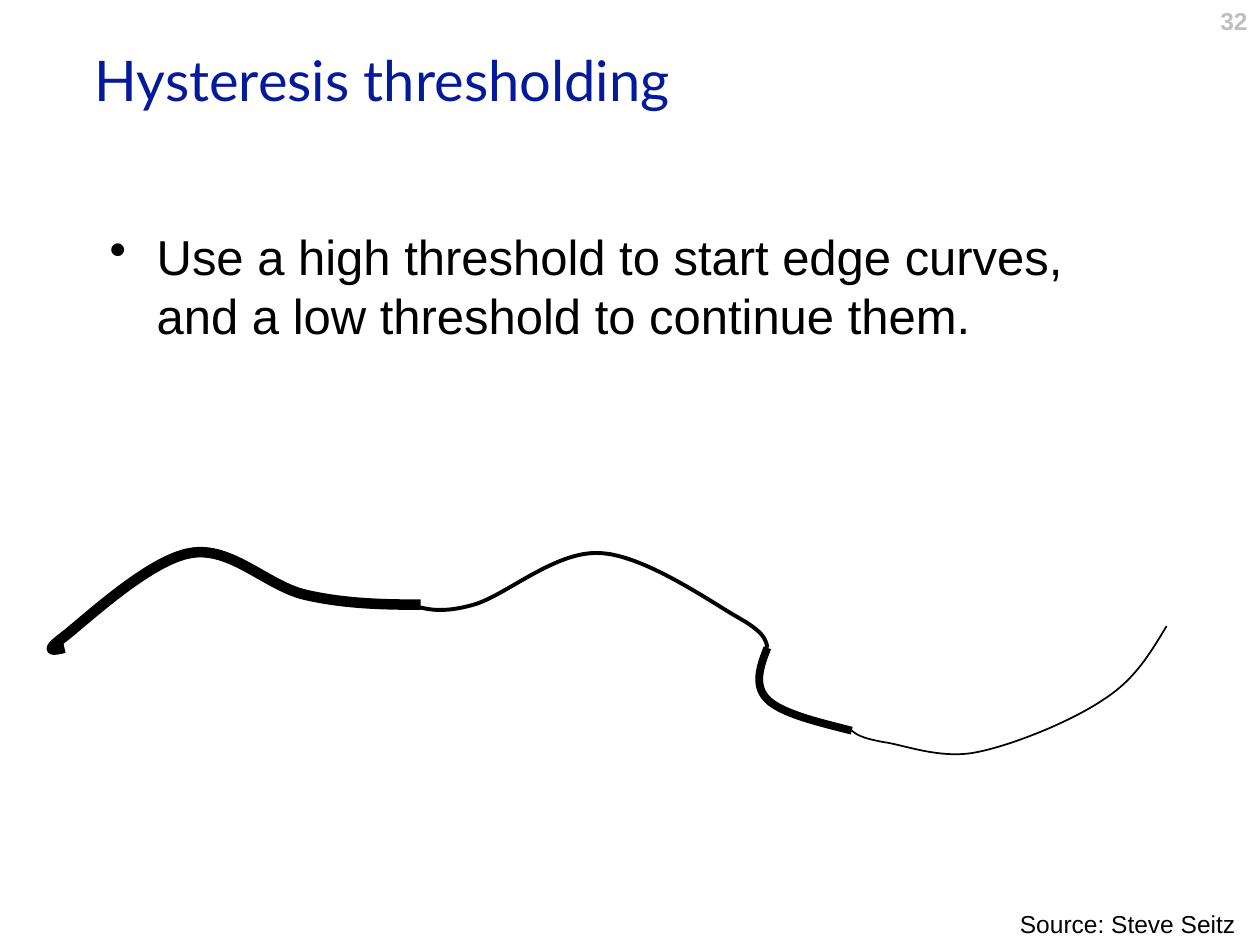
"""Build the hysteresis thresholding slide with its edge curve of varying strength."""
import lxml.etree
import pptx
import pptx.dml.color
import pptx.enum.text
import pptx.oxml
import pptx.oxml.ns
import pptx.util

Cm = pptx.util.Cm
Pt = pptx.util.Pt
qn = pptx.oxml.ns.qn
BLACK = pptx.dml.color.RGBColor(0x00, 0x00, 0x00)
NAVY = pptx.dml.color.RGBColor(0x04, 0x1A, 0x9B)
GRAY = pptx.dml.color.RGBColor(0xBF, 0xBF, 0xBF)
ALIGN = pptx.enum.text.PP_ALIGN
ANCHOR = pptx.enum.text.MSO_ANCHOR


def write_text(shape, text, size, font="Arial", color=BLACK, bold=False,
               align=ALIGN.LEFT, anchor=ANCHOR.TOP, bullet=None):
    frame = shape.text_frame
    frame.word_wrap = True
    frame.vertical_anchor = anchor
    para = frame.paragraphs[0]
    para.alignment = align
    if bullet:
        properties = para._p.get_or_add_pPr()
        properties.set("marL", str(Cm(0.95)))
        properties.set("indent", str(-Cm(0.95)))
        properties.append(pptx.oxml.parse_xml(
            f'<a:buChar {pptx.oxml.ns.nsdecls("a")} char="{bullet}"/>'))
    span = para.add_run()
    span.text = text
    span.font.size = Pt(size)
    span.font.name = font
    span.font.bold = bold
    span.font.color.rgb = color


deck = pptx.Presentation()
deck.slide_width = Cm(25.4)
deck.slide_height = Cm(19.05)
page = deck.slides.add_slide(deck.slide_layouts[5])

title = page.shapes.title
title.left, title.top, title.width, title.height = Cm(1.65), Cm(0), Cm(21.59), Cm(3.18)
write_text(title, "Hysteresis thresholding", 32, font="Lato", color=NAVY,
           anchor=ANCHOR.MIDDLE)

number_box = page.shapes.add_textbox(Cm(19.48), Cm(0), Cm(5.92), Cm(1.02))
write_text(number_box, "32", 14, color=GRAY, bold=True, align=ALIGN.RIGHT)

body_box = page.shapes.add_textbox(Cm(1.96), Cm(4.45), Cm(21.59), Cm(11.43))
write_text(body_box, "Use a high threshold to start edge curves, "
           "and a low threshold to continue them.", 28, bullet="•")

edge_curves = [
    (6, [(1.3, 13.06), (1.07, 13.11), (0.86, 13.16), (1.3, 12.83),
         (1.7, 12.52), (3.02, 11.28), (3.84, 11.15),
         (4.65, 11), (5.38, 11.81), (6.15, 11.99),
         (6.93, 12.17), (7.7, 12.19), (8.48, 12.19)]),
    (2.25, [(8.28, 12.19), (8.59, 12.29), (8.92, 12.37), (9.55, 12.19),
            (10.19, 12.01), (11.2, 11.1), (12.09, 11.15),
            (12.95, 11.18), (14.27, 12.09), (14.83, 12.42),
            (15.39, 12.73), (15.44, 12.88), (15.47, 13.06)]),
    (4.5, [(15.47, 13.06), (15.32, 13.44), (15.19, 13.82), (15.47, 14.1),
           (15.75, 14.38), (16.46, 14.55), (17.17, 14.73)]),
    (1, [(17.17, 14.73), (17.27, 14.81), (17.37, 14.88), (17.81, 14.96),
         (18.21, 15.01), (18.97, 15.32), (19.71, 15.16),
         (20.45, 15.01), (21.62, 14.53), (22.25, 14.1),
         (22.89, 13.69), (23.19, 13.16), (23.52, 12.62)]),
]
for weight, controls in edge_curves:
    vertices = [(Cm(x), Cm(y)) for x, y in controls]
    builder = page.shapes.build_freeform(*vertices[0])
    builder.add_line_segments(vertices[1:], close=False)
    curve = builder.convert_to_shape()
    outline = next(curve._element.iter(qn("a:path")))
    lines = outline.findall(qn("a:lnTo"))
    for first in range(0, len(lines), 3):
        bezier = lxml.etree.SubElement(outline, qn("a:cubicBezTo"))
        for line in lines[first:first + 3]:
            bezier.append(line[0])
            outline.remove(line)
    curve.shadow.inherit = False
    curve.fill.background()
    curve.line.color.rgb = BLACK
    curve.line.width = Pt(weight)

source_box = page.shapes.add_textbox(Cm(20.31), Cm(18.21), Cm(7.85), Cm(0.86))
write_text(source_box, "Source: Steve Seitz", 14)

deck.save("out.pptx")
